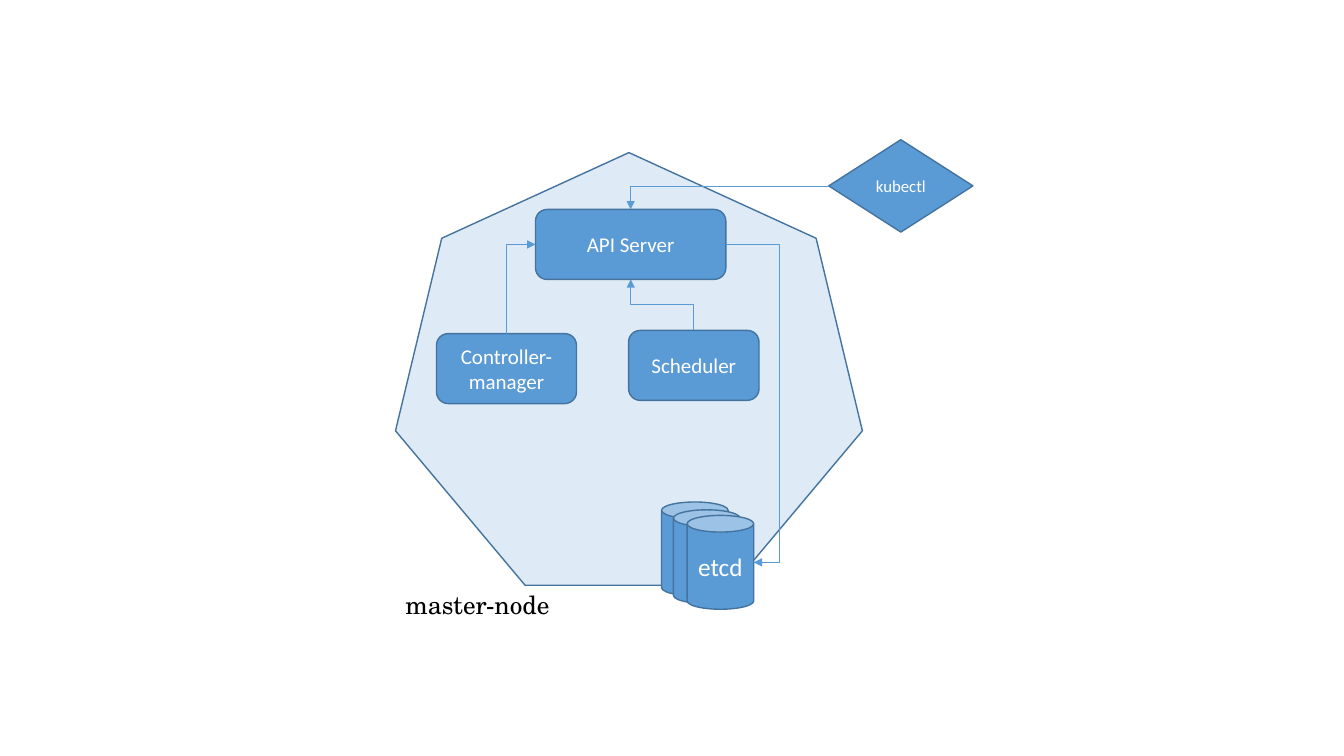
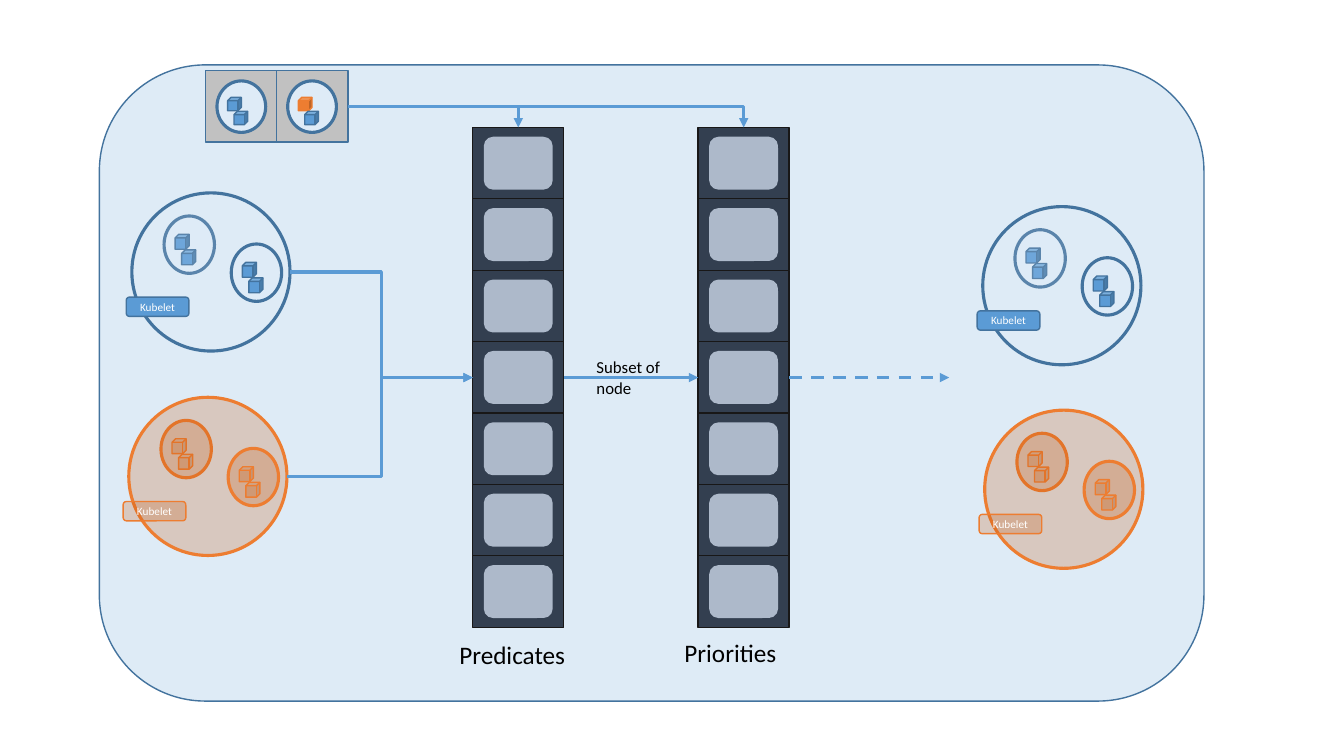
from dataclasses import dataclass
from enum import IntEnum

import pptx
import pptx.dml.color
import pptx.enum.dml
import pptx.enum.shapes
import pptx.enum.text
import pptx.oxml.ns
import pptx.util
from lxml import etree

Pt = pptx.util.Pt
qn = pptx.oxml.ns.qn
SHAPE = pptx.enum.shapes.MSO_SHAPE
CONNECTOR = pptx.enum.shapes.MSO_CONNECTOR


# Theme and styles
@dataclass(frozen=True)
class Theme:
    blue: str = "5B9BD5"
    edge: str = "43739E"
    pale: str = "DEEBF7"
    orange: str = "ED7D31"
    rust: str = "C55A11"
    grey: str = "C1C1C1"
    slate: str = "333F50"
    ink: str = "181717"
    mist: str = "ADB9CA"
    white: str = "FFFFFF"
    black: str = "000000"
    font: str = "Calibri"
    serif: str = "TeX Gyre Schola"
    large: float = 18
    body: float = 15
    small: float = 12
    tiny: float = 8
    hairline: float = 0.5
    thin: float = 1
    thick: float = 2.25


T = Theme()


@dataclass(frozen=True)
class Style:
    fill: str
    line: str
    width: float = T.thin
    alpha: int = 100


BLUE = Style(T.blue, T.edge)
ZONE = Style(T.blue, T.edge, alpha=20)
POD = Style(T.pale, T.edge, T.thick)
CAST = Style(T.rust, T.orange, alpha=24)
CAST_RING = Style(T.rust, T.orange, T.thick, 24)


@dataclass(frozen=True)
class NodeLook:
    ring: Style
    pod: Style
    solid: Style


BLUE_NODE = NodeLook(Style(T.pale, T.edge, T.thick, 15), POD, BLUE)
ORANGE_NODE = NodeLook(CAST_RING, CAST_RING, CAST)


@dataclass(frozen=True)
class Box:
    x: float
    y: float
    w: float
    h: float

    def lengths(self) -> tuple:
        return Pt(self.x), Pt(self.y), Pt(self.w), Pt(self.h)


class Side(IntEnum):
    TOP = 0
    LEFT = 1
    BOTTOM = 2
    RIGHT = 3


# Text and shapes
def add_run(p, text: str, size: float, color: str, font: str = T.font) -> None:
    r = p.add_run()
    r.text = text
    r.font.size = Pt(size)
    r.font.name = font
    r.font.color.rgb = pptx.dml.color.RGBColor.from_string(color)


def add_label(s, box: Box, text: str, size: float, font: str = T.font) -> None:
    tf = s.shapes.add_textbox(*box.lengths()).text_frame
    tf.word_wrap = True
    add_run(tf.paragraphs[0], text, size, T.black, font)


def draw(shapes, kind, box: Box, style: Style, text: str = "", size: float = T.body):
    sp = shapes.add_shape(kind, *box.lengths())
    sp.shadow.inherit = False
    sp.fill.solid()
    sp.fill.fore_color.rgb = pptx.dml.color.RGBColor.from_string(style.fill)
    if style.alpha < 100:
        color = sp.element.spPr.find(qn("a:solidFill")).find(qn("a:srgbClr"))
        etree.SubElement(color, qn("a:alpha"), val=str(style.alpha * 1000))
    sp.line.color.rgb = pptx.dml.color.RGBColor.from_string(style.line)
    sp.line.width = Pt(style.width)
    if text:
        tf = sp.text_frame
        tf.word_wrap = True
        tf.margin_left = tf.margin_right = 0
        tf.vertical_anchor = pptx.enum.text.MSO_ANCHOR.MIDDLE
        p = tf.paragraphs[0]
        p.alignment = pptx.enum.text.PP_ALIGN.CENTER
        add_run(p, text, size, T.white)
    return sp


# Connectors
def side_point(sp, side: Side) -> tuple[int, int]:
    x = {Side.LEFT: sp.left, Side.RIGHT: sp.left + sp.width}
    y = {Side.TOP: sp.top, Side.BOTTOM: sp.top + sp.height}
    return x.get(side, sp.left + sp.width // 2), y.get(side, sp.top + sp.height // 2)


def join(c, sp, side: Side, at_start: bool) -> None:
    site = int(side)
    if sp.auto_shape_type == SHAPE.OVAL:
        site = side * 2
    elif sp.auto_shape_type == SHAPE.CAN:
        site = side + 1
    if site == side:
        (c.begin_connect if at_start else c.end_connect)(sp, site)
    else:
        # Sites beyond the four sides of a rectangle
        tag = qn("a:stCxn" if at_start else "a:endCxn")
        etree.SubElement(c.element.nvCxnSpPr.cNvCxnSpPr, tag,
                         id=str(sp.shape_id), idx=str(site))


def finish_arrow(c, width: float, dashed: bool = False) -> None:
    c.line.color.rgb = pptx.dml.color.RGBColor.from_string(T.blue)
    c.line.width = Pt(width)
    if dashed:
        c.line.dash_style = pptx.enum.dml.MSO_LINE.DASH
    spPr = c.element.spPr
    etree.SubElement(spPr.find(qn("a:ln")), qn("a:tailEnd"), type="triangle")
    etree.SubElement(spPr, qn("a:effectLst"))


def elbow(s, a, a_side: Side, b, b_side: Side, width: float,
          lane: float | None = None) -> None:
    """Bent arrow from a to b; lane is the x of its middle leg."""
    (x1, y1), (x2, y2) = side_point(a, a_side), side_point(b, b_side)
    c = s.shapes.add_connector(CONNECTOR.ELBOW, x1, y1, x2, y2)
    join(c, a, a_side, True)
    join(c, b, b_side, False)
    geom = c.element.spPr.find(qn("a:prstGeom"))
    if a_side % 2 != b_side % 2:
        geom.set("prst", "bentConnector2")
    if lane is not None:
        share = round((Pt(lane) - x1) / (x2 - x1) * 100000)
        etree.SubElement(geom.find(qn("a:avLst")), qn("a:gd"),
                         name="adj1", fmla=f"val {share}")
    if a_side in (Side.TOP, Side.BOTTOM):
        # The first leg is vertical: turn the frame a quarter about its centre
        w, h = abs(y2 - y1), abs(x2 - x1)
        c.left, c.top = (x1 + x2 - w) // 2, (y1 + y2 - h) // 2
        c.width, c.height = w, h
        xfrm = c.element.spPr.find(qn("a:xfrm"))
        xfrm.rot = 270
        xfrm.flipH, xfrm.flipV = y2 > y1, x2 < x1
    finish_arrow(c, width)


# Cluster pieces
def add_pod(shapes, box: Box, pod: Style, upper: Style, lower: Style) -> None:
    draw(shapes, SHAPE.OVAL, box, pod)
    for fx, fy, style in ((0.22, 0.32, upper), (0.35, 0.59, lower)):
        cube = Box(box.x + fx * box.w, box.y + fy * box.h, 0.28 * box.w, 0.26 * box.h)
        draw(shapes, SHAPE.CUBE, cube, style)


def add_node(s, x: float, y: float, look: NodeLook):
    shapes = s.shapes.add_group_shape().shapes
    add_pod(shapes, Box(x + 23, y + 16.5, 36, 41), look.pod, look.solid, look.solid)
    ring = draw(shapes, SHAPE.OVAL, Box(x, y, 113, 113), look.ring)
    draw(shapes, SHAPE.ROUNDED_RECTANGLE, Box(x - 4, y + 74.4, 44.8, 13.8),
         look.solid, "Kubelet", T.tiny)
    add_pod(shapes, Box(x + 71, y + 36.5, 36, 41), look.pod, look.solid, look.solid)
    return ring


def add_queue_slot(s, x: float, y: float, upper: Style):
    shapes = s.shapes.add_group_shape().shapes
    slot = draw(shapes, SHAPE.RECTANGLE, Box(x, y, 51, 51), Style(T.grey, T.edge))
    add_pod(shapes, Box(x + 8, y + 7.4, 34.8, 36.8), POD, upper, BLUE)
    return slot


def add_rack(s, x: float, y: float, count: int = 7, step: float = 51) -> list:
    shapes = s.shapes.add_group_shape().shapes
    units = []
    for i in range(count):
        top = y + i * step
        units.append(draw(shapes, SHAPE.RECTANGLE, Box(x, top, 65, 51.4),
                          Style(T.slate, T.ink)))
        draw(shapes, SHAPE.ROUNDED_RECTANGLE, Box(x + 8.4, top + 7.2, 48.2, 36.8),
             Style(T.mist, T.mist))
    return units


# Slides
def build_master_node(s) -> None:
    draw(s.shapes, SHAPE.HEPTAGON, Box(282.5, 109, 333.5, 309), ZONE)
    api, scheduler, manager = (
        draw(s.shapes, SHAPE.ROUNDED_RECTANGLE, box, BLUE, text)
        for text, box in (
            ("API Server", Box(382.5, 149.6, 136, 50)),
            ("Scheduler", Box(449, 236, 93.2, 50)),
            ("Controller-manager", Box(311.8, 238.3, 100, 50)),
        ))
    for x, y, text in ((472.5, 358.6, ""), (481, 364.2, ""), (490.8, 368.2, "etcd")):
        store = draw(s.shapes, SHAPE.CAN, Box(x, y, 47.6, 67), BLUE, text, T.large)
    kubectl = draw(s.shapes, SHAPE.DIAMOND, Box(592, 99.8, 103, 66), BLUE,
                   "kubectl", T.small)
    elbow(s, api, Side.RIGHT, store, Side.RIGHT, T.hairline, lane=556.8)
    elbow(s, scheduler, Side.TOP, api, Side.BOTTOM, T.hairline)
    elbow(s, manager, Side.TOP, api, Side.LEFT, T.hairline)
    elbow(s, kubectl, Side.LEFT, api, Side.TOP, T.hairline)
    add_label(s, Box(282.5, 417.6, 129, 29), "master-node", T.large, T.serif)


def build_scheduling(s) -> None:
    draw(s.shapes, SHAPE.ROUNDED_RECTANGLE, Box(71, 46.4, 789, 454.4), ZONE)
    add_queue_slot(s, 147, 50.4, BLUE)
    last_slot = add_queue_slot(s, 197.5, 50.4, Style(T.orange, T.orange))
    predicates = add_rack(s, 337.7, 91)
    priorities = add_rack(s, 498.7, 91)

    # Nodes after and before filtering
    add_node(s, 702, 147.6, BLUE_NODE)
    add_node(s, 703.4, 293, ORANGE_NODE)
    sources = (add_node(s, 94.2, 137.8, BLUE_NODE),
               add_node(s, 92, 283.8, ORANGE_NODE))

    # Flow
    middle = len(predicates) // 2
    for node in sources:
        elbow(s, node, Side.RIGHT, predicates[middle], Side.LEFT, T.thick, lane=272.4)
    for rack in (predicates, priorities):
        elbow(s, last_slot, Side.RIGHT, rack[0], Side.TOP, T.thick)
    c = s.shapes.add_connector(CONNECTOR.STRAIGHT, 0, 0, 0, 0)
    c.begin_connect(predicates[middle], Side.RIGHT)
    c.end_connect(priorities[middle], Side.LEFT)
    finish_arrow(c, T.thick)
    x, y = side_point(priorities[middle], Side.RIGHT)
    c = s.shapes.add_connector(CONNECTOR.STRAIGHT, x, y, Pt(678), y)
    c.begin_connect(priorities[middle], Side.RIGHT)
    finish_arrow(c, T.thick, dashed=True)

    add_label(s, Box(419, 251.6, 83.5, 36), "Subset of node", T.small)
    add_label(s, Box(321, 453, 99.4, 29), "Predicates", T.large)
    add_label(s, Box(481.8, 451.6, 99.4, 29), "Priorities", T.large)


def main() -> None:
    prs = pptx.Presentation()
    prs.slide_width, prs.slide_height = Pt(960), Pt(540)
    blank = prs.slide_layouts[6]
    for build in (build_master_node, build_scheduling):
        build(prs.slides.add_slide(blank))
    prs.save("out.pptx")


if __name__ == "__main__":
    main()
